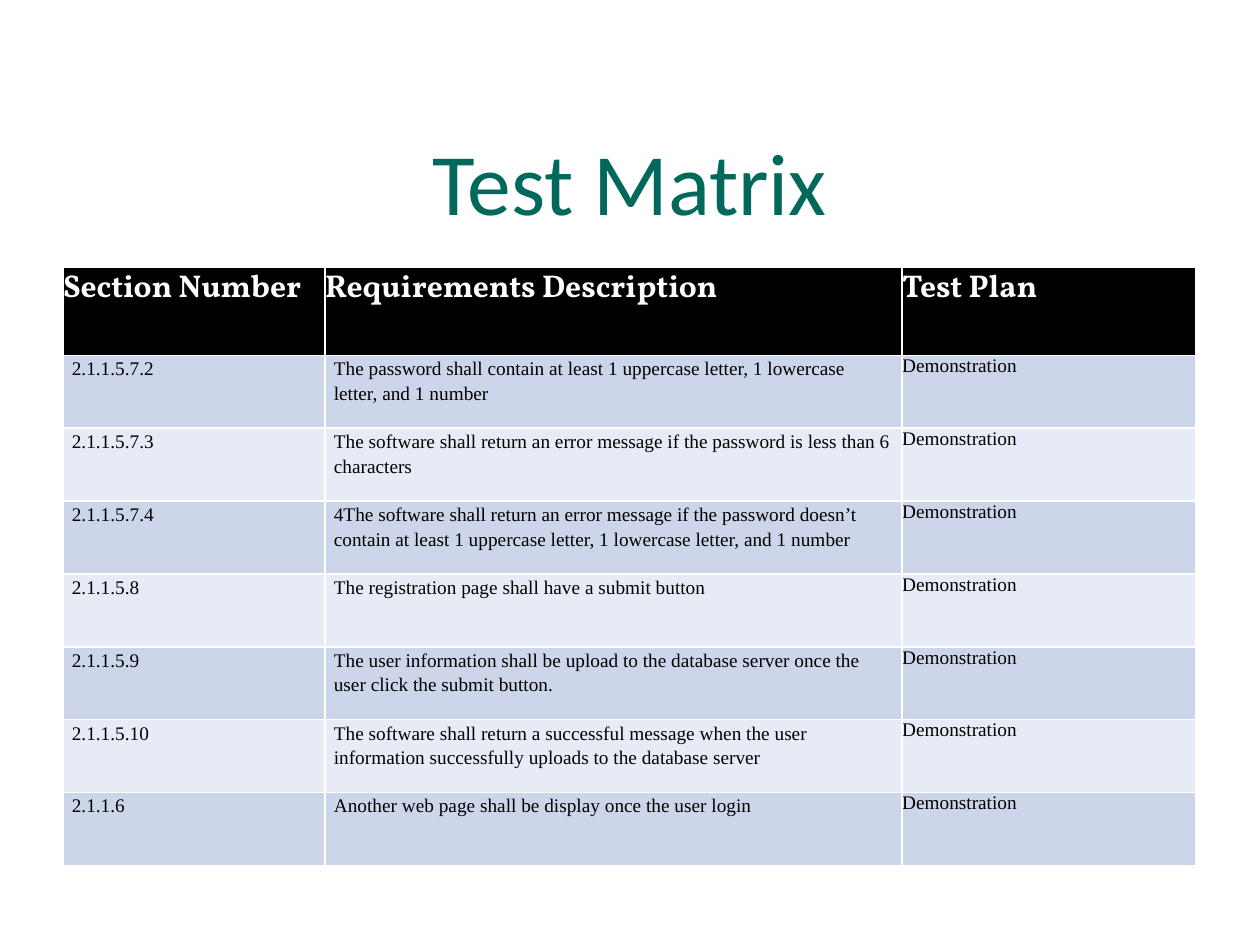
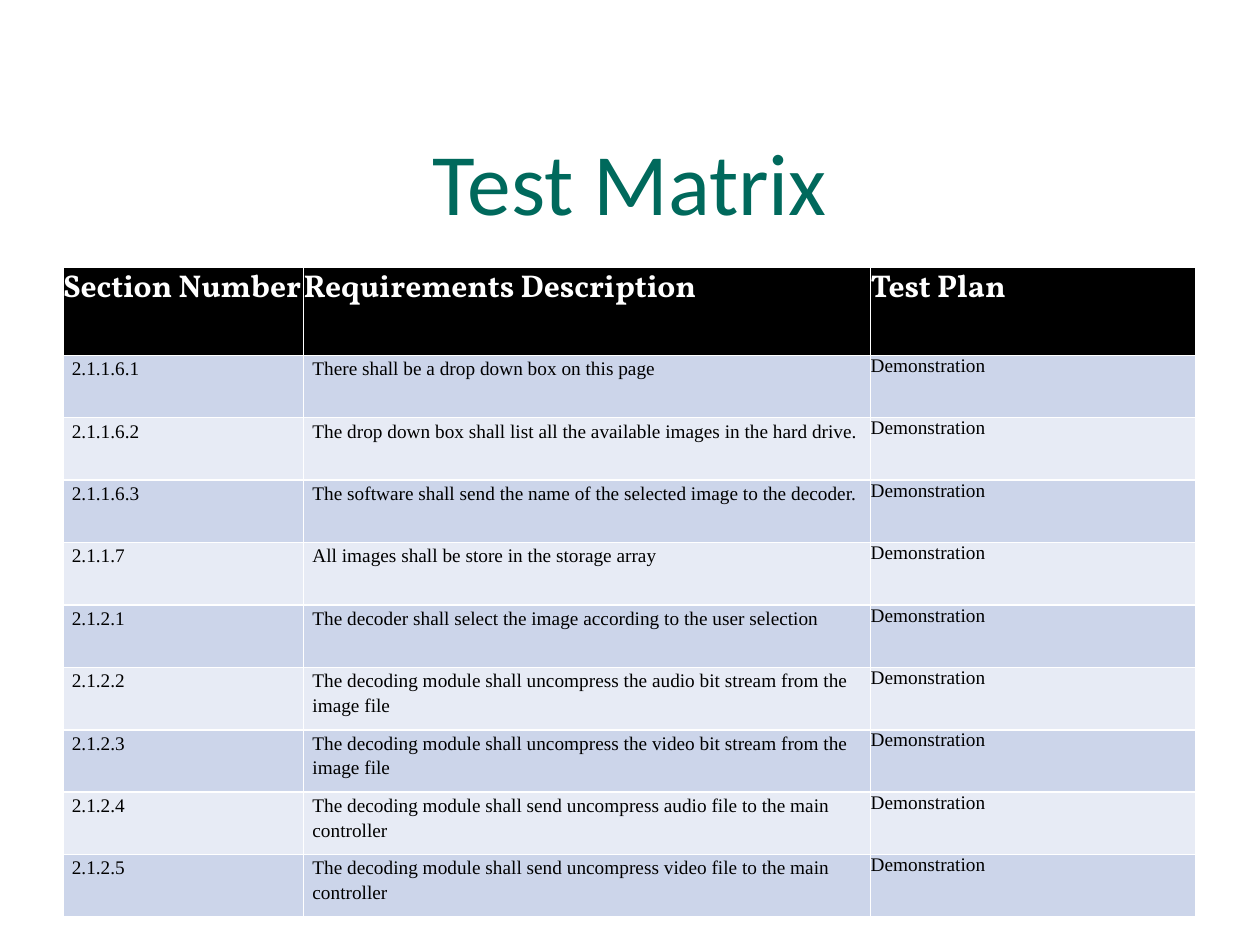
from dataclasses import dataclass

from pptx import Presentation
from pptx.dml.color import RGBColor
from pptx.enum.text import MSO_ANCHOR, MSO_AUTO_SIZE, PP_ALIGN
from pptx.util import Inches, Pt

CENTER = PP_ALIGN.CENTER
LEFT = PP_ALIGN.LEFT
BOTTOM = MSO_ANCHOR.BOTTOM
TOP = MSO_ANCHOR.TOP
NO_AUTOFIT = MSO_AUTO_SIZE.NONE


@dataclass(frozen=True)
class Theme:
    title_color: str = "00695C"
    header_fill: str = "000000"
    header_color: str = "FFFFFF"
    body_color: str = "000000"
    bands: tuple = ("CCD5EA", "E7EBF5")
    title_font: str = "Calibri"
    header_font: str = "Vollkorn"
    body_font: str = "Times New Roman"
    title_size: int = 50
    header_size: int = 18
    body_size: int = 11


THEME = Theme()


def write_text(frame, text, *, font, size, color, bold=False, align=LEFT, spacing=1.0):
    paragraph = frame.paragraphs[0]
    paragraph.alignment = align
    paragraph.line_spacing = spacing
    run = paragraph.add_run()
    run.text = text
    run.font.name = font
    run.font.size = Pt(size)
    run.font.bold = bold
    run.font.color.rgb = RGBColor.from_string(color)


def format_cell(cell, fill, side_inset):
    cell.fill.solid()
    cell.fill.fore_color.rgb = RGBColor.from_string(fill)
    cell.margin_left = cell.margin_right = Inches(side_inset)
    cell.margin_top = cell.margin_bottom = 0
    cell.vertical_anchor = TOP


TITLE = "Test Matrix"
HEADINGS = ["Section Number", "Requirements Description", "Test Plan"]
TEST_PLAN = "Demonstration"
MATRIX_LEFT, MATRIX_TOP, MATRIX_WIDTH = 0.5, 2.12, 9
HEADER_HEIGHT = 0.7
TEXT_INSET = 0.07

MATRICES = [
    {
        "column_widths": [2.08, 4.58, 2.33],
        "bottom": 6.87,
        "requirements": [
            ("2.1.1.5.7.2", "The password shall contain at least 1 uppercase letter, 1 lowercase letter, and 1 number"),
            ("2.1.1.5.7.3", "The software shall return an error message if the password is less than 6 characters"),
            ("2.1.1.5.7.4", "4The software shall return an error message if the password doesn’t contain "
                            "at least 1 uppercase letter, 1 lowercase letter, and 1 number"),
            ("2.1.1.5.8", "The registration page shall have a submit button"),
            ("2.1.1.5.9", "The user information shall be upload to the database server once the user "
                          "click the submit button."),
            ("2.1.1.5.10", "The software shall return a successful message when the user information "
                           "successfully uploads to the database server"),
            ("2.1.1.6", "Another web page shall be display once the user login"),
        ],
    },
    {
        "column_widths": [1.91, 4.5, 2.58],
        "bottom": 7.28,
        "requirements": [
            ("2.1.1.6.1", "There shall be a drop down box on this page"),
            ("2.1.1.6.2", "The drop down box shall list all the available images in the hard drive."),
            ("2.1.1.6.3", "The software shall send the name of the selected image to the decoder."),
            ("2.1.1.7", "All images shall be store in the storage array"),
            ("2.1.2.1", "The decoder shall select the image according to the user selection"),
            ("2.1.2.2", "The decoding module shall uncompress the audio bit stream from the image file"),
            ("2.1.2.3", "The decoding module shall uncompress the video bit stream from the image file"),
            ("2.1.2.4", "The decoding module shall send uncompress audio file to the main controller"),
            ("2.1.2.5", "The decoding module shall send uncompress video file to the main controller"),
        ],
    },
]

prs = Presentation()
prs.slide_width = Inches(10)
prs.slide_height = Inches(7.5)
title_only = prs.slide_layouts[5]

for matrix in MATRICES:
    slide = prs.slides.add_slide(title_only)

    title = slide.shapes.title
    title.left, title.top = Inches(0.5), Inches(0.6)
    title.width, title.height = Inches(9), Inches(1.25)
    title_frame = title.text_frame
    title_frame.auto_size = NO_AUTOFIT
    title_frame.word_wrap = True
    title_frame.vertical_anchor = BOTTOM
    title_frame.margin_left = title_frame.margin_right = title_frame.margin_bottom = 0
    title_frame.margin_top = Inches(0.05)
    write_text(title_frame, TITLE, font=THEME.title_font, size=THEME.title_size,
               color=THEME.title_color, align=CENTER)

    requirements = matrix["requirements"]
    matrix_height = matrix["bottom"] - MATRIX_TOP
    row_height = (matrix_height - HEADER_HEIGHT) / len(requirements)
    table = slide.shapes.add_table(
        len(requirements) + 1, len(HEADINGS), Inches(MATRIX_LEFT), Inches(MATRIX_TOP),
        Inches(MATRIX_WIDTH), Inches(matrix_height)).table

    for column, width in zip(table.columns, matrix["column_widths"]):
        column.width = Inches(width)
    for row in table.rows:
        row.height = Inches(row_height)
    table.rows[0].height = Inches(HEADER_HEIGHT)

    for column_index, heading in enumerate(HEADINGS):
        cell = table.cell(0, column_index)
        format_cell(cell, THEME.header_fill, 0)
        write_text(cell.text_frame, heading, font=THEME.header_font,
                   size=THEME.header_size, color=THEME.header_color, bold=True)

    for row_index, (section, description) in enumerate(requirements, start=1):
        band = THEME.bands[(row_index - 1) % 2]
        entries = [(section, TEXT_INSET, 1.15), (description, TEXT_INSET, 1.15), (TEST_PLAN, 0, 1.0)]
        for column_index, (entry, inset, spacing) in enumerate(entries):
            cell = table.cell(row_index, column_index)
            format_cell(cell, band, inset)
            write_text(cell.text_frame, entry, font=THEME.body_font, size=THEME.body_size,
                       color=THEME.body_color, spacing=spacing)

prs.save("out.pptx")
